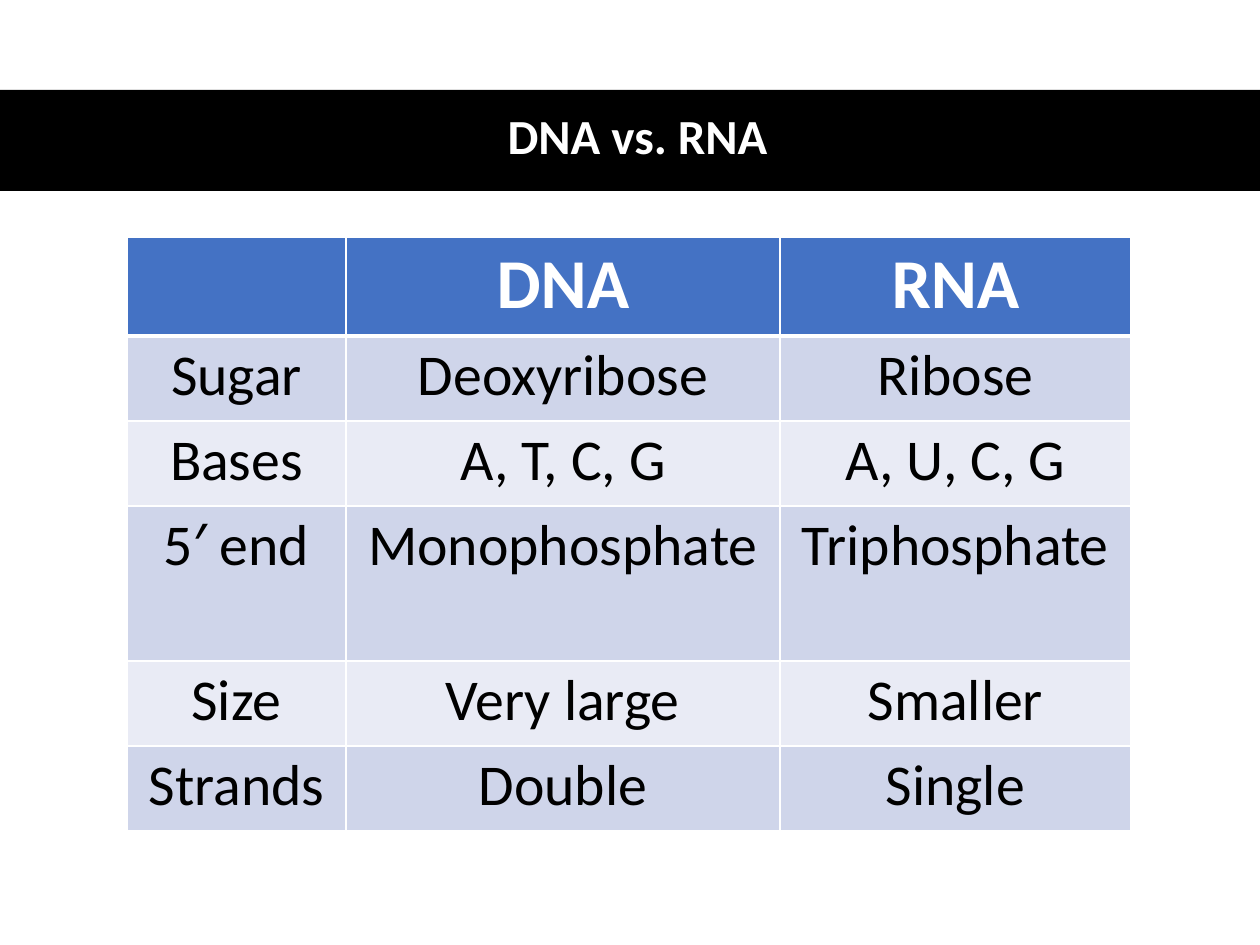
from dataclasses import dataclass

from lxml.etree import SubElement
from pptx import Presentation
from pptx.dml.color import RGBColor
from pptx.enum.shapes import MSO_SHAPE
from pptx.enum.text import MSO_ANCHOR, PP_ALIGN
from pptx.oxml.ns import qn
from pptx.util import Pt

EMU_PER_PX = 914400 / 126


@dataclass(frozen=True)
class Theme:
    font: str = "Calibri"
    black: str = "000000"
    white: str = "FFFFFF"
    header: str = "4472C4"
    bands: tuple = ("CFD5EA", "E9EBF5")
    title_size: int = 28
    header_size: int = 40
    body_size: int = 33
    rule: int = 1
    header_rule: int = 3


THEME = Theme()

COMPARISON = [
    ("", "DNA", "RNA"),
    ("Sugar", "Deoxyribose", "Ribose"),
    ("Bases", "A, T, C, G", "A, U, C, G"),
    ("5′ end", "Monophosphate", "Triphosphate"),
    ("Size", "Very large", "Smaller"),
    ("Strands", "Double", "Single"),
]
COLUMN_WIDTHS = (219, 434, 351)
ROW_HEIGHTS = (99, 85, 85, 155, 85, 85)


def px(length):
    return round(length * EMU_PER_PX)


def set_all(target, values):
    for key, value in values.items():
        setattr(target, key, value)


def paint(fill, color):
    fill.solid()
    fill.fore_color.rgb = RGBColor.from_string(color)


def write(frame, text, size, color, bold, spacing=None):
    paragraph = frame.paragraphs[0]
    set_all(paragraph, {"alignment": PP_ALIGN.CENTER, "line_spacing": spacing})
    if not text:
        paragraph.font.size = Pt(size)
        return
    run = paragraph.add_run()
    run.text = text
    set_all(run.font, {"name": THEME.font, "size": Pt(size), "bold": bold})
    run.font.color.rgb = RGBColor.from_string(color)


def add_band(slide, left, top, width, height):
    band = slide.shapes.add_shape(
        MSO_SHAPE.RECTANGLE, px(left), px(top), px(width), px(height))
    band.shadow.inherit = False
    paint(band.fill, THEME.black)
    band.line.fill.background()


def place_title(slide, text, left, top, width, height):
    title = slide.shapes.title
    set_all(title, {"left": px(left), "top": px(top),
                    "width": px(width), "height": px(height)})
    set_all(title.text_frame, {"vertical_anchor": MSO_ANCHOR.MIDDLE,
                               "word_wrap": True})
    write(title.text_frame, text, THEME.title_size, THEME.white, True, 0.9)
    # Bring the title in front of the band
    slide.shapes._spTree.append(title._element)


def add_borders(cell, top, bottom):
    properties = cell._tc.get_or_add_tcPr()
    widths = {"L": THEME.rule, "R": THEME.rule, "T": top, "B": bottom}
    for side, width in widths.items():
        line = SubElement(properties, qn(f"a:ln{side}"), w=str(Pt(width)))
        solid = SubElement(line, qn("a:solidFill"))
        SubElement(solid, qn("a:srgbClr"), val=THEME.white)


def format_cell(cell, text, row):
    is_header = row == 0
    set_all(cell, {"margin_left": px(10), "margin_right": px(10),
                   "margin_top": px(5), "margin_bottom": px(5)})
    add_borders(cell,
                top=THEME.header_rule if row == 1 else THEME.rule,
                bottom=THEME.header_rule if is_header else THEME.rule)
    if is_header:
        paint(cell.fill, THEME.header)
        write(cell.text_frame, text, THEME.header_size, THEME.white, True)
    else:
        paint(cell.fill, THEME.bands[(row - 1) % 2])
        write(cell.text_frame, text, THEME.body_size, THEME.black, False)


def add_comparison(slide, left, top):
    table = slide.shapes.add_table(
        len(ROW_HEIGHTS), len(COLUMN_WIDTHS), px(left), px(top),
        px(sum(COLUMN_WIDTHS)), px(sum(ROW_HEIGHTS))).table
    for column, width in zip(table.columns, COLUMN_WIDTHS):
        column.width = px(width)
    for row, (texts, height) in enumerate(zip(COMPARISON, ROW_HEIGHTS)):
        table.rows[row].height = px(height)
        for column, text in enumerate(texts):
            format_cell(table.cell(row, column), text, row)


def main():
    deck = Presentation()
    set_all(deck, {"slide_width": px(1260), "slide_height": px(945)})
    slide = deck.slides.add_slide(deck.slide_layouts[5])
    paint(slide.background.fill, THEME.white)

    # Title on a full-width band
    add_band(slide, 0, 90, 1260, 101)
    place_title(slide, "DNA vs. RNA", 58, 88, 1159, 102)

    # Comparison table
    add_comparison(slide, 127, 237)

    deck.save("out.pptx")


if __name__ == "__main__":
    main()
